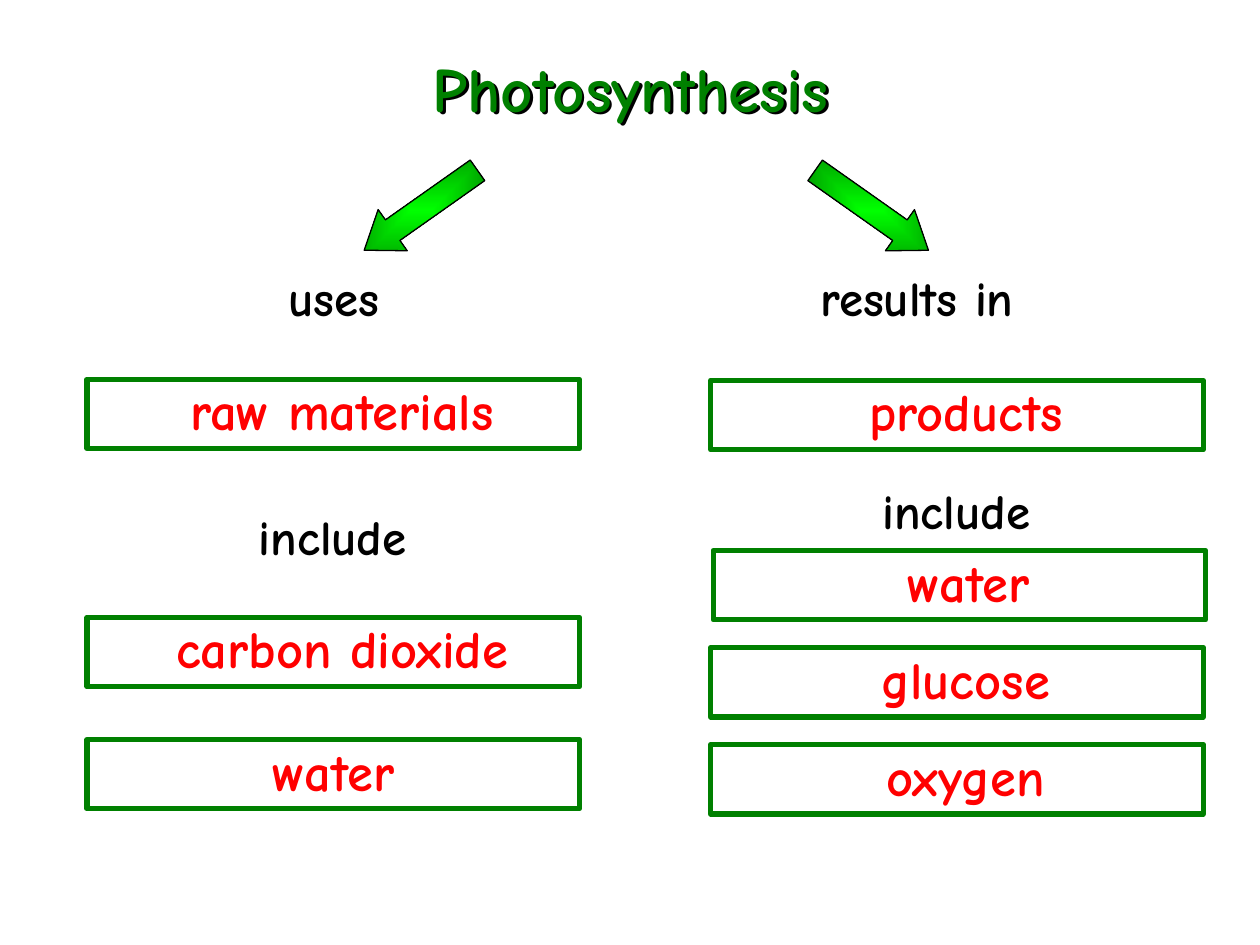
"""Build a concept map of photosynthesis: raw materials and products."""
from lxml import etree
from pptx import Presentation
from pptx.dml.color import RGBColor
from pptx.enum import shapes, text
from pptx.oxml import ns
from pptx.util import Pt

FONT = "Comic Neue"
GREEN = RGBColor(0x00, 0x80, 0x00)
LIME = RGBColor(0x00, 0xFF, 0x00)
LEAF = RGBColor(0x00, 0x99, 0x00)
RED = RGBColor(0xFF, 0x00, 0x00)
BLACK = RGBColor(0x00, 0x00, 0x00)
WHITE = RGBColor(0xFF, 0xFF, 0xFF)

LEFT, RIGHT = 49.7, 406.1
BOX_W, BOX_H = 281.5, 39.6
SPACE = 10

BOXES = [
    ("raw materials", LEFT, 216.7, SPACE),
    ("products", RIGHT, 217.4, SPACE),
    ("carbon dioxide", LEFT, 352.8, SPACE),
    ("water", LEFT, 422.6, 0),
    ("glucose", RIGHT, 370.1, SPACE),
    ("oxygen", RIGHT, 425.5, SPACE),
    ("water", RIGHT + 1.4, 314.6, SPACE),
]
LABELS = [
    ("uses", 157.7, 149, 66.2),
    ("results in", 461.5, 149, 125.3),
    ("include", 133.9, 285.8, 112.3),
    ("include", 490.3, 270.7, 112.3),
]
ARROWS = [(226.1, 54.8), (483.8, 305.2)]


def child(parent, tag, **attrs):
    """Append a DrawingML element to parent and return it."""
    return etree.SubElement(parent, ns.qn("a:" + tag), attrs)


def write(sp, words, size, color):
    """Put one centred bold paragraph in a shape."""
    tf = sp.text_frame
    tf.text = words
    p = tf.paragraphs[0]
    p.alignment = text.PP_ALIGN.CENTER
    font = p.runs[0].font
    font.name, font.size, font.bold = FONT, Pt(size), True
    font.color.rgb = color
    return p


def add_title(s, words):
    """Fill the title placeholder and give its letters a hard shadow."""
    sp = s.shapes.title
    sp.left, sp.top, sp.width, sp.height = Pt(239.8), Pt(24.5), Pt(241.2), Pt(50.4)
    write(sp, words, 36, GREEN)
    sp.text_frame.word_wrap = False
    effects = child(sp._element.spPr, "effectLst")
    shadow = child(effects, "outerShdw", dist=str(Pt(2)), dir="2700000",
                   algn="ctr", rotWithShape="0")
    child(shadow, "srgbClr", val=str(BLACK))


def add_box(s, words, x, y, indent):
    """Draw a green-edged term box with its text shifted by indent."""
    sp = s.shapes.add_shape(shapes.MSO_SHAPE.RECTANGLE,
                            Pt(x), Pt(y), Pt(BOX_W), Pt(BOX_H))
    sp.shadow.inherit = False
    sp.fill.solid()
    sp.fill.fore_color.rgb = WHITE
    child(sp._element.spPr.find(".//" + ns.qn("a:srgbClr")), "alpha", val="50000")
    sp.line.color.rgb = GREEN
    sp.line.width = Pt(3)
    tf = sp.text_frame
    tf.word_wrap = True
    tf.vertical_anchor = text.MSO_ANCHOR.TOP
    tf.margin_left = Pt(7.2 + indent)
    write(sp, words, 30, RED).line_spacing = 0.9


def add_label(s, words, x, y, w):
    """Add a linking phrase between boxes."""
    sp = s.shapes.add_textbox(Pt(x), Pt(y), Pt(w), Pt(41))
    sp.text_frame.word_wrap = False
    sp.text_frame.vertical_anchor = text.MSO_ANCHOR.MIDDLE
    write(sp, words, 28, BLACK)


def add_arrow(s, x, angle):
    """Draw a slanted block arrow that glows from its centre."""
    sp = s.shapes.add_shape(shapes.MSO_SHAPE.DOWN_ARROW,
                            Pt(x), Pt(80.6), Pt(28.8), Pt(79.2))
    sp.shadow.inherit = False
    sp.rotation = angle
    sp.adjustments[0], sp.adjustments[1] = 0.5, 0.69
    sp.line.color.rgb = BLACK
    sp.line.width = Pt(0.75)
    sp.fill.gradient()
    grad = sp._element.spPr.find(ns.qn("a:gradFill"))
    for part in list(grad):
        grad.remove(part)
    stops = child(grad, "gsLst")
    for pos, color in (("0", LIME), ("100000", LEAF)):
        child(child(stops, "gs", pos=pos), "srgbClr", val=str(color))
    child(child(grad, "path", path="rect"), "fillToRect",
          **dict.fromkeys("ltrb", "50000"))


def main():
    """Build and save the slide."""
    prs = Presentation()
    prs.slide_width, prs.slide_height = Pt(720), Pt(540)
    s = prs.slides.add_slide(prs.slide_layouts[5])
    add_title(s, "Photosynthesis")
    for arrow in ARROWS:
        add_arrow(s, *arrow)
    for label in LABELS:
        add_label(s, *label)
    for box in BOXES:
        add_box(s, *box)
    prs.save("out.pptx")


if __name__ == "__main__":
    main()
